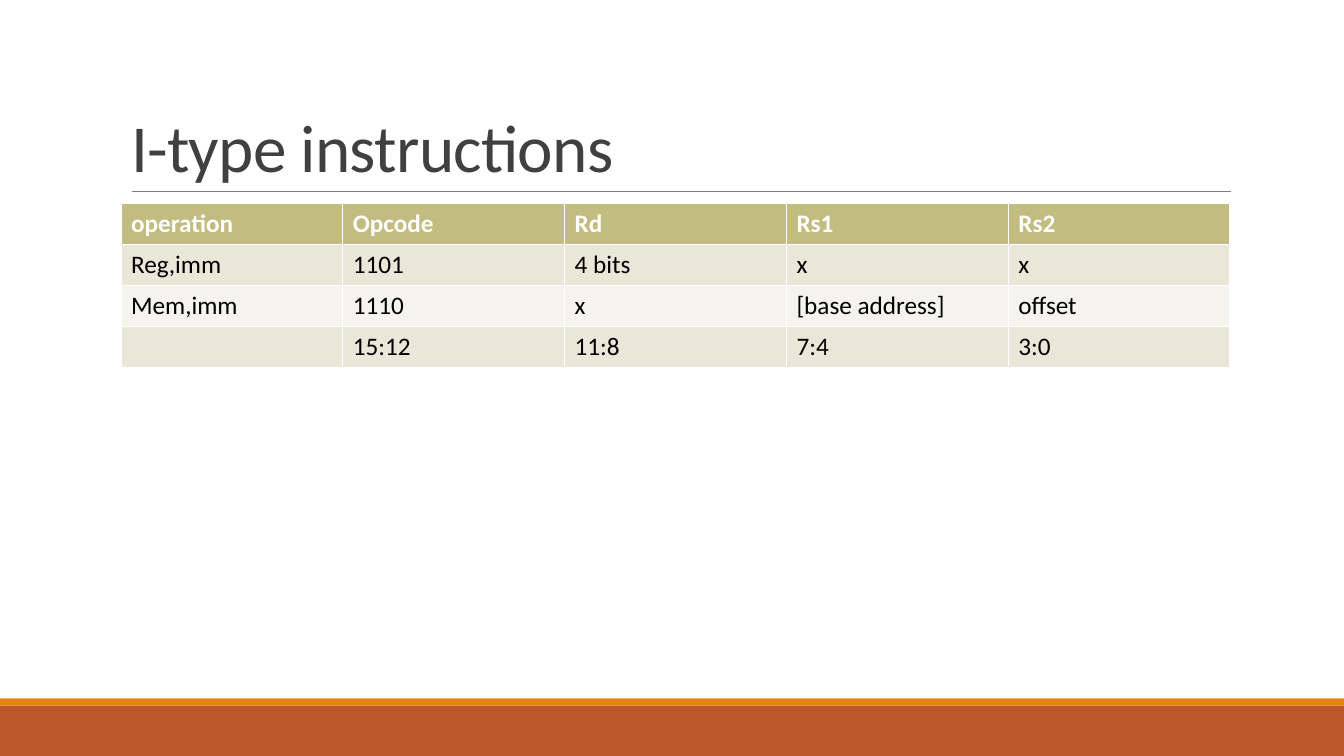
from pptx import Presentation
from pptx.dml.color import RGBColor
from pptx.enum.shapes import MSO_CONNECTOR, MSO_SHAPE
from pptx.enum.text import MSO_ANCHOR, MSO_AUTO_SIZE, PP_ALIGN
from pptx.oxml.ns import qn
from pptx.util import Inches, Pt
from lxml.etree import SubElement

TITLE = "I-type instructions"
ROWS = [
    ("operation", "Opcode", "Rd", "Rs1", "Rs2"),
    ("Reg,imm", "1101", "4 bits", "x", "x"),
    ("Mem,imm", "1110", "x", "[base address]", "offset"),
    ("", "15:12", "11:8", "7:4", "3:0"),
]

FONT = "Calibri"
RUST = RGBColor(0xBD, 0x58, 0x2C)
ORANGE = RGBColor(0xE4, 0x83, 0x12)
GRAY = RGBColor(0x80, 0x80, 0x80)
DARK = RGBColor(0x40, 0x40, 0x40)
WHITE = RGBColor(0xFF, 0xFF, 0xFF)
BLACK = RGBColor(0, 0, 0)
HEADER = RGBColor(0xC2, 0xBC, 0x80)
BANDS = (RGBColor(0xF4, 0xF3, 0xED), RGBColor(0xE9, 0xE7, 0xD8))

WIDTH, HEIGHT = 13.33, 7.5
LEFT, CONTENT_WIDTH = 1.2, 11
ROW_HEIGHT = 0.405
FOOTER_BANDS = [(7, 0.5, RUST), (6.93, 0.07, ORANGE)]


def add_run(paragraph, text, size, color, bold=False):
    run = paragraph.add_run()
    run.text = text
    run.font.name = FONT
    run.font.size = Pt(size)
    run.font.bold = bold
    run.font.color.rgb = color
    return run


presentation = Presentation()
presentation.slide_width = Inches(WIDTH)
presentation.slide_height = Inches(HEIGHT)
slide = presentation.slides.add_slide(presentation.slide_layouts.get_by_name("Title Only"))

for top, height, color in FOOTER_BANDS:
    band = slide.shapes.add_shape(
        MSO_SHAPE.RECTANGLE, 0, Inches(top), Inches(WIDTH), Inches(height))
    band.shadow.inherit = False
    band.fill.solid()
    band.fill.fore_color.rgb = color
    band.line.fill.background()

rule = slide.shapes.add_connector(
    MSO_CONNECTOR.STRAIGHT, Inches(1.31), Inches(1.9), Inches(12.21), Inches(1.9))
rule.line.color.rgb = GRAY
rule.line.width = Pt(0.5)
SubElement(rule._element.spPr, qn("a:effectLst"))

title = slide.shapes.title
title.left, title.top = Inches(LEFT), Inches(0.31)
title.width, title.height = Inches(CONTENT_WIDTH), Inches(1.59)
title.text_frame.word_wrap = True
title.text_frame.auto_size = MSO_AUTO_SIZE.NONE
title.text_frame.vertical_anchor = MSO_ANCHOR.BOTTOM
heading = title.text_frame.paragraphs[0]
heading.alignment = PP_ALIGN.LEFT
heading.line_spacing = 0.85
title_run = add_run(heading, TITLE, 48, DARK)
title_run.font._element.set("spc", "-50")

table = slide.shapes.add_table(
    len(ROWS), len(ROWS[0]), Inches(LEFT), Inches(2.02),
    Inches(CONTENT_WIDTH), Inches(ROW_HEIGHT * len(ROWS))).table
for row_index, values in enumerate(ROWS):
    is_header = row_index == 0
    for column_index, value in enumerate(values):
        cell = table.cell(row_index, column_index)
        cell.fill.solid()
        cell.fill.fore_color.rgb = HEADER if is_header else BANDS[row_index % 2]
        if value:
            add_run(cell.text_frame.paragraphs[0], value, 18,
                    WHITE if is_header else BLACK, is_header)

presentation.save("out.pptx")
